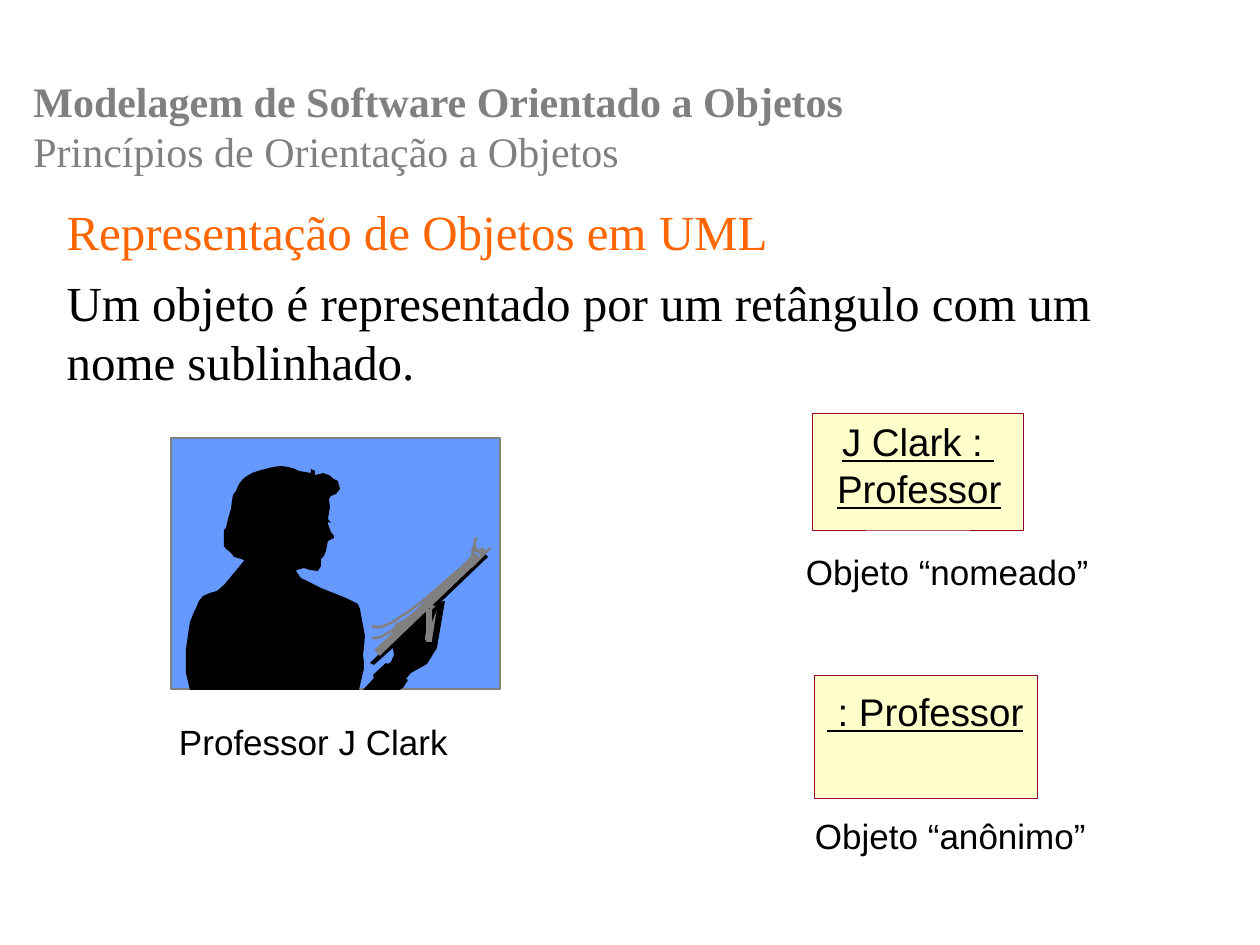
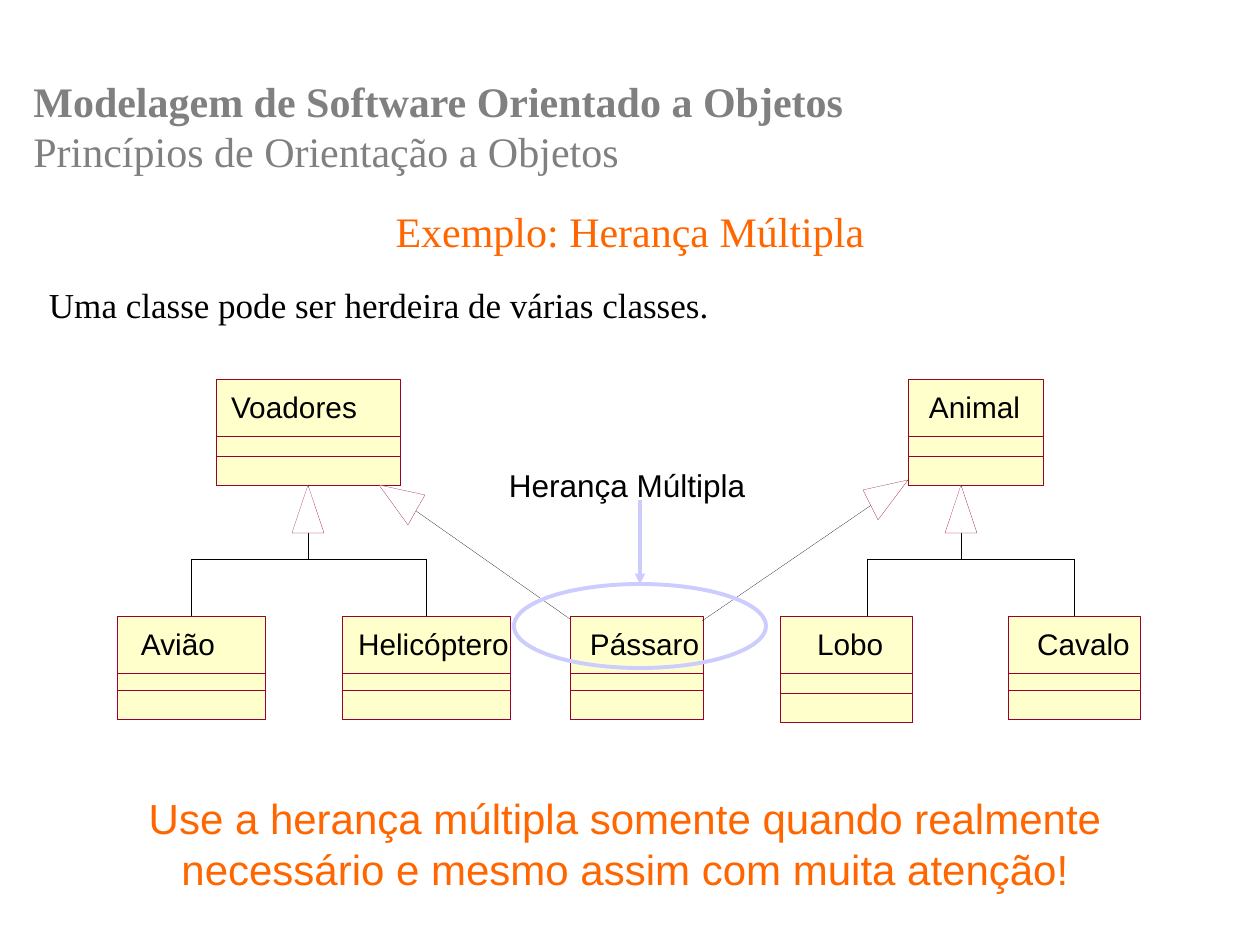
from pptx import Presentation
from pptx.dml.color import RGBColor
from pptx.enum.shapes import MSO_CONNECTOR, MSO_SHAPE
from pptx.enum.text import MSO_ANCHOR, MSO_AUTO_SIZE, PP_ALIGN
from pptx.oxml.ns import qn
from pptx.util import Pt
from lxml.etree import SubElement

SCALE = 914400 / 126
HAIR = 0.1
SERIF, SANS = "Times New Roman", "Arial"
BLACK = RGBColor(0x00, 0x00, 0x00)
WHITE = RGBColor(0xFF, 0xFF, 0xFF)
GRAY = RGBColor(0x80, 0x80, 0x80)
ORANGE = RGBColor(0xFF, 0x66, 0x00)
CREAM = RGBColor(0xFF, 0xFF, 0xCC)
WINE = RGBColor(0x99, 0x00, 0x33)
BLUE = RGBColor(0x66, 0x99, 0xFF)
LILAC = RGBColor(0xCC, 0xCC, 0xFF)

# Silhouette outlines, in px
TORSO = [
    (359, 690), (362, 677), (364, 669), (364, 662), (363, 655), (364, 648),
    (365, 636), (360, 609), (358, 604), (352, 601), (346, 598), (321, 588),
    (301, 578), (296, 571), (292, 564), (291, 561), (280, 558), (258, 557),
    (247, 557), (239, 567), (224, 585), (217, 591), (210, 593), (203, 596),
    (199, 601), (197, 606), (194, 612), (190, 622), (188, 635), (186, 649),
    (186, 673), (190, 690)]
ARM = [
    (437, 648), (427, 664), (411, 673), (406, 679), (408, 680), (403, 688),
    (399, 690), (363, 690), (374, 678), (373, 675), (386, 663), (388, 664),
    (391, 662), (394, 655), (393, 648), (374, 665), (370, 663), (484, 553),
    (488, 557), (441, 602), (445, 601)]
HEAD = [
    (238, 558), (234, 557), (232, 554), (229, 551), (226, 549), (224, 546),
    (224, 530), (226, 528), (228, 519), (231, 509), (232, 501), (233, 495),
    (236, 491), (239, 484), (243, 479), (247, 476), (252, 473), (258, 471),
    (265, 469), (273, 467), (281, 466), (289, 467), (295, 469), (299, 471),
    (311, 473), (311, 469), (315, 471), (315, 475), (320, 474), (323, 473),
    (329, 475), (334, 479), (338, 481), (340, 489), (336, 494), (331, 496),
    (329, 499), (330, 507), (328, 519), (331, 523), (328, 522), (328, 524),
    (331, 532), (334, 536), (334, 538), (328, 541), (326, 551), (324, 556),
    (321, 559), (321, 566), (318, 571), (310, 570), (304, 568), (297, 570),
    (295, 572), (287, 568), (276, 566), (261, 562), (247, 561)]


def px(*nums):
    return [round(n * SCALE) for n in nums]


def curve(a, b, c, d, steps=16):
    """Points along a cubic Bézier curve."""
    pts = []
    for i in range(steps + 1):
        t = i / steps
        u = 1 - t
        pts.append(tuple(u**3 * p + 3 * u * u * t * q + 3 * u * t * t * r + t**3 * s
                         for p, q, r, s in zip(a, b, c, d)))
    return pts


def write(para, text, size=20, font=SANS, color=BLACK, bold=False,
          under=False, align=None, gap=0):
    """Add a run to a paragraph and format both."""
    para.space_before = Pt(gap)
    if align is not None:
        para.alignment = align
    run = para.add_run()
    run.text = text
    run.font.size, run.font.name = Pt(size), font
    run.font.bold, run.font.underline = bold, under
    run.font.color.rgb = color


class Deck:
    def __init__(self):
        self.prs = Presentation()
        self.prs.slide_width, self.prs.slide_height = px(1260, 945)
        self.slide = None

    def start(self):
        self.slide = self.prs.slides.add_slide(self.prs.slide_layouts[1])

    def head(self):
        """The course heading on every slide."""
        frame = self.frame(21, 52, 1050, 147)
        frame.vertical_anchor = MSO_ANCHOR.MIDDLE
        para = frame.paragraphs[0]
        style = dict(size=24, font=SERIF, color=GRAY)
        write(para, "Modelagem de Software Orientado a Objetos", bold=True, **style)
        para.add_line_break()
        write(para, "Princípios de Orientação a Objetos", **style)

    def frame(self, x, y, w, h):
        frame = self.slide.shapes.add_textbox(*px(x, y, w, h)).text_frame
        frame.word_wrap = True
        return frame

    def label(self, text, x, y, w, h, pad=(0, 0), **style):
        frame = self.frame(x, y, w, h)
        frame.margin_left = frame.margin_right = px(pad[0])[0]
        frame.margin_top = frame.margin_bottom = px(pad[1])[0]
        frame.auto_size = MSO_AUTO_SIZE.SHAPE_TO_FIT_TEXT
        write(frame.paragraphs[0], text, **style)

    def holder(self, idx, x, y, w, h, anchor=MSO_ANCHOR.TOP):
        """Move a placeholder and return its text frame."""
        shape = self.slide.placeholders[idx]
        shape.left, shape.top, shape.width, shape.height = px(x, y, w, h)
        frame = shape.text_frame
        frame.auto_size, frame.vertical_anchor = MSO_AUTO_SIZE.NONE, anchor
        frame.word_wrap = True
        return frame

    def plain(self, para):
        """Drop the bullet and indent of a list paragraph."""
        props = para._p.get_or_add_pPr()
        props.set("marL", "0")
        props.set("indent", "0")
        SubElement(props, qn("a:buNone"))

    def paint(self, shape, fill, line, width):
        shape.shadow.inherit = False
        if fill is None:
            shape.fill.background()
        else:
            shape.fill.solid()
            shape.fill.fore_color.rgb = fill
        if line is None:
            shape.line.fill.background()
        else:
            shape.line.color.rgb = line
            shape.line.width = Pt(width)
        return shape

    def shape(self, x, y, w, h, fill=None, line=None, width=HAIR, kind=MSO_SHAPE.RECTANGLE):
        shape = self.slide.shapes.add_shape(kind, *px(x, y, w, h))
        return self.paint(shape, fill, line, width)

    def free(self, pts, fill=None, line=None, width=HAIR, close=True):
        pen = self.slide.shapes.build_freeform(*pts[0], scale=SCALE)
        pen.add_line_segments(pts[1:], close=close)
        return self.paint(pen.convert_to_shape(), fill, line, width)

    def line(self, a, b, color=BLACK, width=HAIR, begin=None, end=None, arrow=False):
        link = self.slide.shapes.add_connector(MSO_CONNECTOR.STRAIGHT, *px(*a, *b))
        if begin:
            link.begin_connect(*begin)
        if end:
            link.end_connect(*end)
        link.line.color.rgb, link.line.width = color, Pt(width)
        props = link.element.spPr
        if arrow:
            SubElement(props.find(qn("a:ln")), qn("a:tailEnd"), type="triangle")
        SubElement(props, qn("a:effectLst"))

    def unit(self, name, x, y, w, h, left, wide):
        """A UML class: name, attributes and operations."""
        box = self.shape(x, y, w, h, CREAM, WINE)
        self.label(name, left, y + 10, wide, 35, size=17)
        for top in (57, h - 29):
            self.shape(x, y + top, w, h - top, line=WINE)
        return box

    def fork(self, stem, kids, boss=None):
        """Inheritance tree; kids are pairs of x and the box joined there."""
        top, bar, foot = 485, 559, 616
        self.line((stem, bar), (stem, top), end=boss and (boss, 2))
        self.line((kids[0][0], bar), (kids[-1][0], bar))
        for x, box in kids:
            self.line((x, foot), (x, bar), begin=box and (box, 0))
        self.tip((stem, top), (stem + 16, 533), (stem - 16, 533))

    def tip(self, *pts):
        self.free(pts, WHITE, WINE)


def reader(deck):
    """Silhouette of a teacher holding notes."""
    deck.shape(171, 438, 329, 251, BLUE, GRAY, 0.75)
    for part in (TORSO, ARM, HEAD):
        deck.free(part, BLACK)
    deck.free(curve((372, 638), (389, 644), (459, 570), (476, 556)),
              line=GRAY, width=1.5, close=False)
    deck.line((471, 567), (490, 548), GRAY, 1.5)
    deck.line((471, 561), (476, 537), GRAY, 1.5)
    deck.shape(428, 606, 6, 34, GRAY, GRAY, 0.75).rotation = 8.9
    deck.line((478, 556), (377, 653), GRAY, 4.5)
    deck.free(curve((372, 626), (389, 638), (459, 568), (476, 554)),
              line=GRAY, width=1.5, close=False)
    deck.free(curve((403, 638), (401, 644), (415, 644), (420, 638))
              + curve((420, 638), (435, 624), (438, 606), (437, 605)), BLACK)
    deck.free([(392, 639), (392, 630), (397, 622), (406, 621), (408, 625)], GRAY)
    deck.free([(471, 552), (481, 553), (474, 543)], GRAY)
    deck.shape(478, 548, 8, 8, GRAY, kind=MSO_SHAPE.OVAL)
    deck.shape(426, 609, 6, 33, GRAY)


def objects(deck):
    deck.start()
    title = deck.slide.shapes.title.element
    title.getparent().remove(title)
    frame = deck.holder(1, 54, 195, 1109, 242)
    rows = [("Representação de Objetos em UML", ORANGE, 0),
            ("Um objeto é representado por um retângulo com um nome sublinhado.", BLACK, 7)]
    for i, (text, color, gap) in enumerate(rows):
        para = frame.add_paragraph() if i else frame.paragraphs[0]
        deck.plain(para)
        write(para, text, size=28, font=SERIF, color=color, gap=gap)
    deck.shape(812, 413, 211, 117, CREAM, WINE)
    deck.shape(814, 675, 223, 123, CREAM, WINE)
    for text, x, y, w in [("J Clark : ", 842, 418, 170), ("Professor", 837, 465, 180),
                          (" : Professor", 827, 688, 210)]:
        deck.label(text, x, y, w, 47, size=22, under=True)
    for text, x, y, w in [("Objeto “nomeado”", 791, 543, 330),
                          ("Objeto “anônimo”", 800, 806, 320),
                          ("Professor J Clark", 164, 712, 320)]:
        deck.label(text, x, y, w, 57, pad=(15, 8))
    reader(deck)
    deck.head()


def heirs(deck):
    deck.start()
    frame = deck.holder(0, 0, 157, 1260, 147, MSO_ANCHOR.MIDDLE)
    write(frame.paragraphs[0], "Exemplo: Herança Múltipla", size=24, font=SERIF,
          color=ORANGE, align=PP_ALIGN.CENTER)
    frame = deck.holder(1, 34, 285, 725, 89)
    frame.margin_left = frame.margin_right = px(15)[0]
    para = frame.paragraphs[0]
    para.line_spacing = 0.8
    deck.plain(para)
    write(para, "Uma classe pode ser herdeira de várias classes.", font=SERIF)
    deck.label("Use a herança múltipla somente quando realmente necessário "
               "e mesmo assim com muita atenção!", 53, 787, 1144, 113, pad=(13, 6),
               size=24, color=ORANGE, align=PP_ALIGN.CENTER)

    units = [("Voadores", 216, 379, 184, 106, 231, 145),
             ("Animal", 908, 379, 135, 106, 929, 110),
             ("Cavalo", 1008, 616, 132, 103, 1037, 110),
             ("Lobo", 780, 616, 132, 106, 817, 85),
             ("Pássaro", 570, 616, 133, 103, 590, 125),
             ("Helicóptero", 342, 616, 168, 103, 358, 170),
             ("Avião", 117, 616, 148, 103, 141, 90)]
    boxes = {row[0]: deck.unit(*row) for row in units}
    deck.fork(308, [(191, boxes["Avião"]), (426, boxes["Helicóptero"])], boxes["Voadores"])
    deck.line((570, 619), (379, 485))
    deck.tip((379, 485), (425, 495), (408, 525))
    deck.line((702, 621), (908, 480))
    deck.tip((908, 480), (878, 520), (863, 490))
    deck.fork(961, [(867, None), (1074, boxes["Cavalo"])])
    ring = deck.shape(514, 584, 252, 84, line=LILAC, width=2.25, kind=MSO_SHAPE.OVAL)
    deck.label("Herança Múltipla", 494, 458, 290, 53, pad=(15, 8), size=18)
    deck.line((640, 500), (640, 584), LILAC, 1.75, end=(ring, 0), arrow=True)
    deck.head()


def main():
    deck = Deck()
    objects(deck)
    heirs(deck)
    deck.prs.save("out.pptx")


if __name__ == "__main__":
    main()
